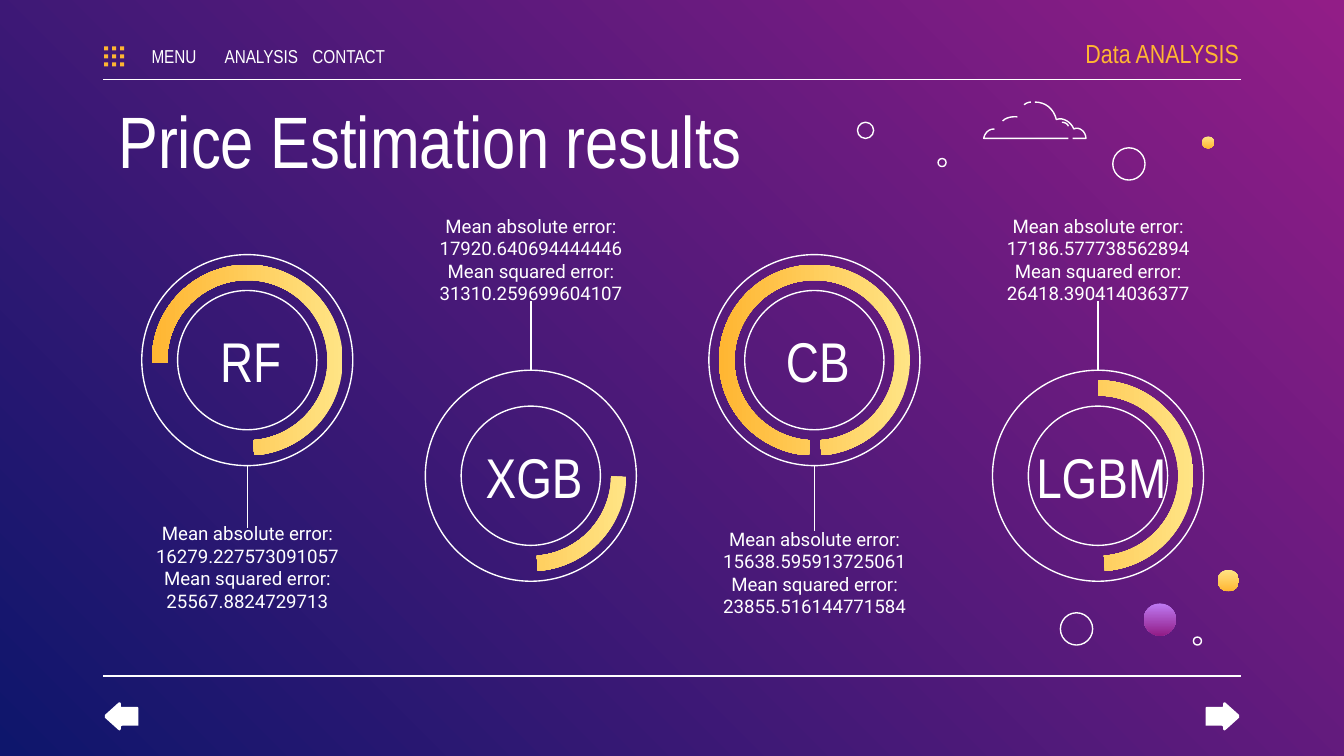
from pptx import Presentation
from pptx.dml.color import RGBColor
from pptx.enum.shapes import MSO_CONNECTOR as CONNECTOR, MSO_SHAPE as SHAPE
from pptx.enum.text import MSO_ANCHOR as ANCHOR, MSO_AUTO_SIZE as AUTO_SIZE, PP_ALIGN as ALIGN
from pptx.oxml.ns import qn
from pptx.util import Inches, Pt
from lxml.etree import SubElement

WHITE = RGBColor(0xFF, 0xFF, 0xFF)
ORANGE = RGBColor(0xFF, 0xB6, 0x32)
YELLOW = RGBColor(0xFF, 0xE4, 0x85)
LILAC = RGBColor(0xBE, 0x7A, 0xF3)
MAGENTA = RGBColor(0x92, 0x1D, 0x87)
NAVY = RGBColor(0x0E, 0x16, 0x6C)
GOLD = (YELLOW, ORANGE)
PURPLE = (LILAC, MAGENTA)
HEADING, BODY = "Arial Narrow", "Roboto"

TITLE = "Price Estimation results"
SECTION = "Data ANALYSIS"
MENU = ["MENU", "ANALYSIS", "CONTACT"]
MODELS = [
    {"name": "RF", "mae": "16279.227573091057", "mse": "25567.8824729713",
     "arc_start": 53, "note_top": 3.91, "link_end": 3.93},
    {"name": "XGB", "mae": "17920.640694444446", "mse": "31310.259699604107",
     "arc_start": 162.29, "note_top": 1.62, "link_end": 2.24},
    {"name": "CB", "mae": "15638.595913725061", "mse": "23855.516144771584",
     "arc_start": 2, "note_top": 3.95, "link_end": 3.95},
    {"name": "LGBM", "mae": "17186.577738562894", "mse": "26418.390414036377",
     "arc_start": 108.23, "note_top": 1.62, "link_end": 2.24},
]
ARC_END, ARC_WIDTH = 213.49, 0.08
FIRST_CENTER, COLUMN_STEP = 1.84, 2.11
RING_CENTERS = [2.68, 3.54]
RING, ARC = 1.57, 1.42

BUBBLES = [
    (6.44, 0.97, 0.12, None), (8.4, 1.22, 0.24, None), (7.01, 1.21, 0.06, None),
    (8.01, 4.68, 0.24, None), (8.91, 4.77, 0.06, None),
    (8.63, 4.61, 0.24, PURPLE), (8.99, 1.06, 0.09, GOLD), (9.14, 4.32, 0.16, GOLD),
]
CLOUD = [
    [(7.7, 0.76), (7.78, 0.76, 7.84, 0.81, 7.86, 0.89), (7.91, 0.87, 7.97, 0.91, 7.99, 0.96),
     (8.03, 0.94, 8.08, 0.98, 8.08, 1.03), (7.98, 1.03)],
    [(7.67, 0.76), (7.67, 0.76, 7.64, 0.76, 7.62, 0.78)],
    [(7.95, 1.03), (7.32, 1.03), (7.32, 1.03, 7.33, 0.96, 7.4, 0.96)],
    [(7.9, 0.91), (7.9, 0.91, 7.94, 0.91, 7.95, 0.94)],
    [(7.57, 0.87), (7.57, 0.87, 7.5, 0.86, 7.46, 0.9)],
]
ARROW = [
    (9.12, 5.43), (9.22, 5.34), (9.22, 5.34, 9.22, 5.33, 9.22, 5.32), (9.12, 5.23),
    (9.11, 5.22, 9.1, 5.23, 9.1, 5.24), (9.1, 5.25), (9.1, 5.26, 9.1, 5.26, 9.09, 5.26),
    (8.98, 5.26), (8.97, 5.26, 8.97, 5.27, 8.97, 5.27), (8.97, 5.39),
    (8.97, 5.4, 8.97, 5.4, 8.98, 5.4), (9.09, 5.4), (9.1, 5.4, 9.1, 5.41, 9.1, 5.41),
    (9.1, 5.42), (9.1, 5.43, 9.11, 5.44, 9.12, 5.43),
]

deck = Presentation()
deck.slide_width = Inches(10)
deck.slide_height = deck.slide_width * 9 // 16
page = deck.slides.add_slide(deck.slide_layouts[5])


def set_gradient(fill, colors, angle):
    fill.gradient()
    fill.gradient_angle = angle
    for stop, color, position in zip(fill.gradient_stops, colors, (0, 1)):
        stop.color.rgb = color
        stop.position = position


def style(shape, fill=None, outline=False):
    shape.shadow.inherit = False
    if fill is None:
        shape.fill.background()
    elif isinstance(fill, RGBColor):
        shape.fill.solid()
        shape.fill.fore_color.rgb = fill
    else:
        set_gradient(shape.fill, fill, 270)
    if outline:
        shape.line.color.rgb = WHITE
        shape.line.width = Pt(0.75)
    else:
        shape.line.fill.background()


def add_centered(kind, x, y, size, fill=None):
    shape = page.shapes.add_shape(kind, Inches(x - size / 2), Inches(y - size / 2),
                                  Inches(size), Inches(size))
    style(shape, fill, outline=fill is None)
    return shape


def add_line(x1, y1, x2, y2):
    line = page.shapes.add_connector(CONNECTOR.STRAIGHT, Inches(x1), Inches(y1), Inches(x2), Inches(y2))
    line.line.color.rgb = WHITE
    line.line.width = Pt(0.75)
    SubElement(line._element.spPr, qn("a:effectLst"))


def flatten(outline, steps=8):
    points = [outline[0]]
    for part in outline[1:]:
        if len(part) == 2:
            points.append(part)
            continue
        start, controls = points[-1], (part[:2], part[2:4], part[4:])
        for step in range(1, steps + 1):
            t = step / steps
            weights = ((1 - t) ** 3, 3 * t * (1 - t) ** 2, 3 * t ** 2 * (1 - t), t ** 3)
            points.append(tuple(sum(weight * point[axis] for weight, point in zip(weights, (start, *controls)))
                                for axis in (0, 1)))
    return points


def add_outline(points, closed=False):
    spots = [(Inches(x), Inches(y)) for x, y in points]
    builder = page.shapes.build_freeform(*spots[0])
    builder.add_line_segments(spots[1:], close=closed)
    style(builder.convert_to_shape(), WHITE if closed else None, outline=not closed)


def write(text, at, size, box=None, font=HEADING, color=WHITE, align=ALIGN.CENTER,
          anchor=ANCHOR.MIDDLE, sides=(0.1, 0.1)):
    left, top, width, height = map(Inches, at)
    if box is None:
        box = page.shapes.add_textbox(left, top, width, height)
    box.left, box.top, box.width, box.height = left, top, width, height
    frame = box.text_frame
    frame.word_wrap = True
    frame.auto_size = AUTO_SIZE.NONE
    frame.vertical_anchor = anchor
    frame.margin_left, frame.margin_right = map(Inches, sides)
    frame.margin_top = frame.margin_bottom = Inches(0.1)
    frame.text = text
    for para in frame.paragraphs:
        para.alignment = align
        for span in para.runs:
            span.font.name, span.font.size = font, Pt(size)
            span.font.color.rgb = color


set_gradient(page.background.fill, (MAGENTA, NAVY), 225)
for y in (0.59, 5.03):
    add_line(0.77, y, 9.23, y)

write(TITLE, (0.78, 0.61, 8.44, 0.66), 39, box=page.shapes.title, align=ALIGN.LEFT, anchor=ANCHOR.TOP)
write(SECTION, (7.72, 0.23, 1.5, 0.33), 14, color=ORANGE, align=ALIGN.RIGHT, sides=(0.1, 0))
for index, item in enumerate(MENU):
    write(item, (1.01 + 0.65 * index, 0.3, 0.57, 0.23), 10, sides=(0, 0))
for index in range(9):
    column, row = divmod(index, 3)
    add_centered(SHAPE.RECTANGLE, 0.79 + 0.06 * column, 0.36 + 0.06 * row, 0.03, ORANGE)

for index, model in enumerate(MODELS):
    x = FIRST_CENTER + COLUMN_STEP * index
    y = RING_CENTERS[index % 2]
    ring = add_centered(SHAPE.DONUT, x, y, RING)
    ring.adjustments[0] = 0.17
    arc = add_centered(SHAPE.BLOCK_ARC, x, y, ARC, GOLD)
    arc.rotation = 90
    for slot, value in enumerate((model["arc_start"], ARC_END, ARC_WIDTH)):
        arc.adjustments[slot] = value
    edge = y + RING / 2 if model["link_end"] > y else y - RING / 2
    add_line(x, edge, x, model["link_end"])
    write(model["name"], (x - 0.59, y - 0.31, 1.23, 0.62), 30)
    note = f"Mean absolute error: {model['mae']}\nMean squared error: {model['mse']}"
    write(note, (x - COLUMN_STEP / 2, model["note_top"], COLUMN_STEP, 0.62), 10, font=BODY)

for x, y, size, fill in BUBBLES:
    add_centered(SHAPE.OVAL, x, y, size, fill)
for stroke in CLOUD:
    add_outline(flatten(stroke))
arrow = flatten(ARROW)
add_outline(arrow, closed=True)
add_outline([(10 - x, y) for x, y in arrow], closed=True)

deck.save("out.pptx")
